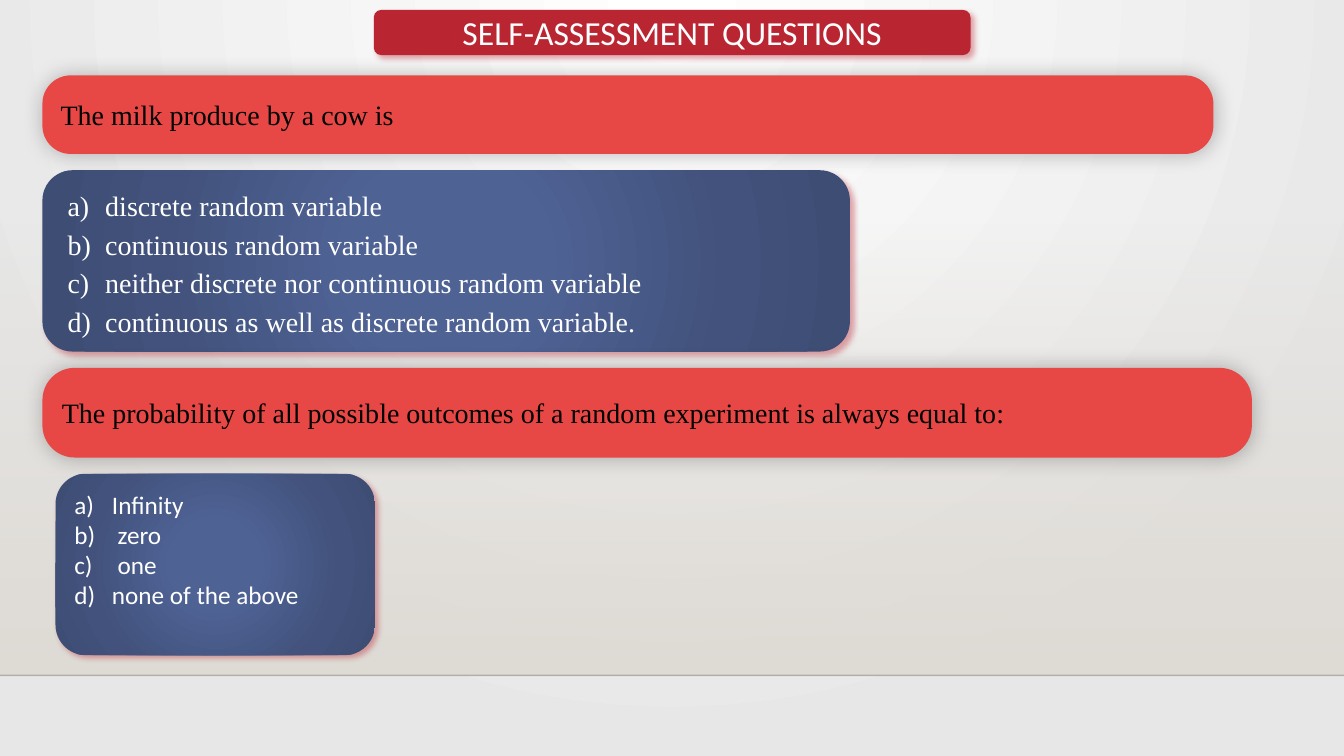
from dataclasses import dataclass
from pptx import Presentation
from pptx.dml.color import RGBColor
from pptx.enum.shapes import MSO_CONNECTOR, MSO_SHAPE
from pptx.enum.text import MSO_ANCHOR, PP_ALIGN
from pptx.oxml import parse_xml
from pptx.oxml.ns import nsdecls, qn
from pptx.oxml.xmlchemy import OxmlElement
from pptx.util import Cm, Pt


@dataclass(frozen=True)
class Theme:
    white: str = "FFFFFF"
    black: str = "000000"
    edge: str = "E7E7E7"
    sand: str = "DFDBD5"
    rule: str = "000001"
    title: str = "BA2532"
    ask: str = "E84845"
    blues: tuple = ((0, "4E6294"), (23, "4E6294"), (69, "42527C"), (97, "3E4D74"))
    sans: str = "Calibri"
    serif: str = "Times New Roman"
    big: int = 24
    mid: int = 20
    small: int = 18


THEME = Theme()
GLOW = (THEME.title, 40, 4, 3, 45)
SHADE = (THEME.black, 25, 15, 0, 0)
CENTER = '<a:path path="circle"><a:fillToRect l="50000" t="50000" r="50000" b="50000"/></a:path>'
TOP = '<a:path path="circle"><a:fillToRect l="43000" r="43000" b="100000"/></a:path>'
DOWN = '<a:lin ang="5400000" scaled="0"/>'


def tint(color, alpha=100):
    return f'<a:srgbClr val="{color}"><a:alpha val="{alpha * 1000}"/></a:srgbClr>'


def blend(owner, fill, stops, course):
    fill.gradient()
    old = next(owner.iter(qn("a:gradFill")))
    marks = "".join(f'<a:gs pos="{stop[0] * 1000}">{tint(*stop[1:])}</a:gs>' for stop in stops)
    new = parse_xml(f'<a:gradFill {nsdecls("a")} rotWithShape="1">'
                    f'<a:gsLst>{marks}</a:gsLst>{course}</a:gradFill>')
    old.getparent().replace(old, new)


def cast(shape, color, alpha, blur, dist, angle):
    shape.shadow.inherit = False
    effects = shape._element.spPr.find(qn("a:effectLst"))
    effects.append(parse_xml(
        f'<a:outerShdw {nsdecls("a")} blurRad="{Pt(blur)}" dist="{Pt(dist)}" '
        f'dir="{angle * 60000}" algn="ctr" rotWithShape="0">{tint(color, alpha)}</a:outerShdw>'))


def block(slide, kind, box):
    shape = slide.shapes.add_shape(kind, *map(Cm, box))
    shape.line.fill.background()
    shape.shadow.inherit = False
    return shape


def card(slide, box, shadow, color=None, adj=None):
    shape = block(slide, MSO_SHAPE.ROUNDED_RECTANGLE, box)
    if adj:
        shape.adjustments[0] = adj
    if color:
        shape.fill.solid()
        shape.fill.fore_color.rgb = RGBColor.from_string(color)
    else:
        blend(shape._element, shape.fill, THEME.blues, CENTER)
    cast(shape, *shadow)
    frame = shape.text_frame
    frame.word_wrap = True
    frame.vertical_anchor = MSO_ANCHOR.MIDDLE
    return frame


def write(para, text, font, size, color, align=PP_ALIGN.LEFT):
    para.alignment = align
    run = para.add_run()
    run.text = text
    run.font.name = font
    run.font.size = Pt(size)
    run.font.color.rgb = RGBColor.from_string(color)


def title(slide, text, box):
    frame = card(slide, box, GLOW, THEME.title)
    write(frame.paragraphs[0], text, THEME.sans, THEME.big, THEME.white, PP_ALIGN.CENTER)


def ask(slide, text, box):
    frame = card(slide, box, SHADE, THEME.ask, 0.36)
    write(frame.paragraphs[0], text, THEME.serif, THEME.mid, THEME.black)


def choices(slide, items, box, font, size, left, space=1.0, foot=0.13):
    frame = card(slide, box, GLOW)
    frame.margin_bottom = Cm(foot)
    for i, item in enumerate(items):
        para = frame.add_paragraph() if i else frame.paragraphs[0]
        props = para._p.get_or_add_pPr()
        props.set("marL", str(Cm(left)))
        props.set("indent", str(Cm(-0.95)))
        mark = OxmlElement("a:buAutoNum")
        mark.set("type", "alphaLcParenR")
        props.append(mark)
        para.line_spacing = space
        write(para, item, font, size, THEME.white)


def floor(slide, wide):
    blend(slide._element, slide.background.fill, ((0, THEME.white), (100, THEME.edge)), TOP)
    band = block(slide, MSO_SHAPE.RECTANGLE, (0, 5.61, wide, 11.41))
    blend(band._element, band.fill, ((0, THEME.sand, 0), (100, THEME.sand)), DOWN)
    rule = slide.shapes.add_connector(MSO_CONNECTOR.STRAIGHT, 0, Cm(17.02), Cm(wide), Cm(17.02))
    rule.line.width = Pt(1)
    rule.line.color.rgb = RGBColor.from_string(THEME.rule)
    color = next(rule._element.iter(qn("a:srgbClr")))
    alpha = OxmlElement("a:alpha")
    alpha.set("val", "20000")
    color.append(alpha)
    rule._element.spPr.append(OxmlElement("a:effectLst"))


def main():
    deck = Presentation()
    wide = 33.87
    deck.slide_width, deck.slide_height = Cm(wide), Cm(19.05)
    slide = deck.slides.add_slide(deck.slide_layouts[6])
    floor(slide, wide)
    title(slide, "SELF-ASSESSMENT QUESTIONS", (9.42, 0.25, 15.04, 1.14))
    ask(slide, "The milk produce by a cow is", (1.07, 1.9, 29.51, 1.98))
    choices(slide, (
        "discrete random variable",
        "continuous random variable",
        "neither discrete nor continuous random variable",
        "continuous as well as discrete random variable.",
    ), (1.07, 4.29, 20.35, 4.57), THEME.serif, THEME.mid, 1.11, space=1.15)
    ask(slide, "The probability of all possible outcomes of a random experiment is always equal to:",
        (1.07, 9.27, 30.48, 2.26))
    choices(slide, ("Infinity", " zero", " one", "none of the above"),
            (1.4, 11.94, 8.05, 4.57), THEME.sans, THEME.small, 0.95, foot=0.89)
    deck.save("out.pptx")


if __name__ == "__main__":
    main()
